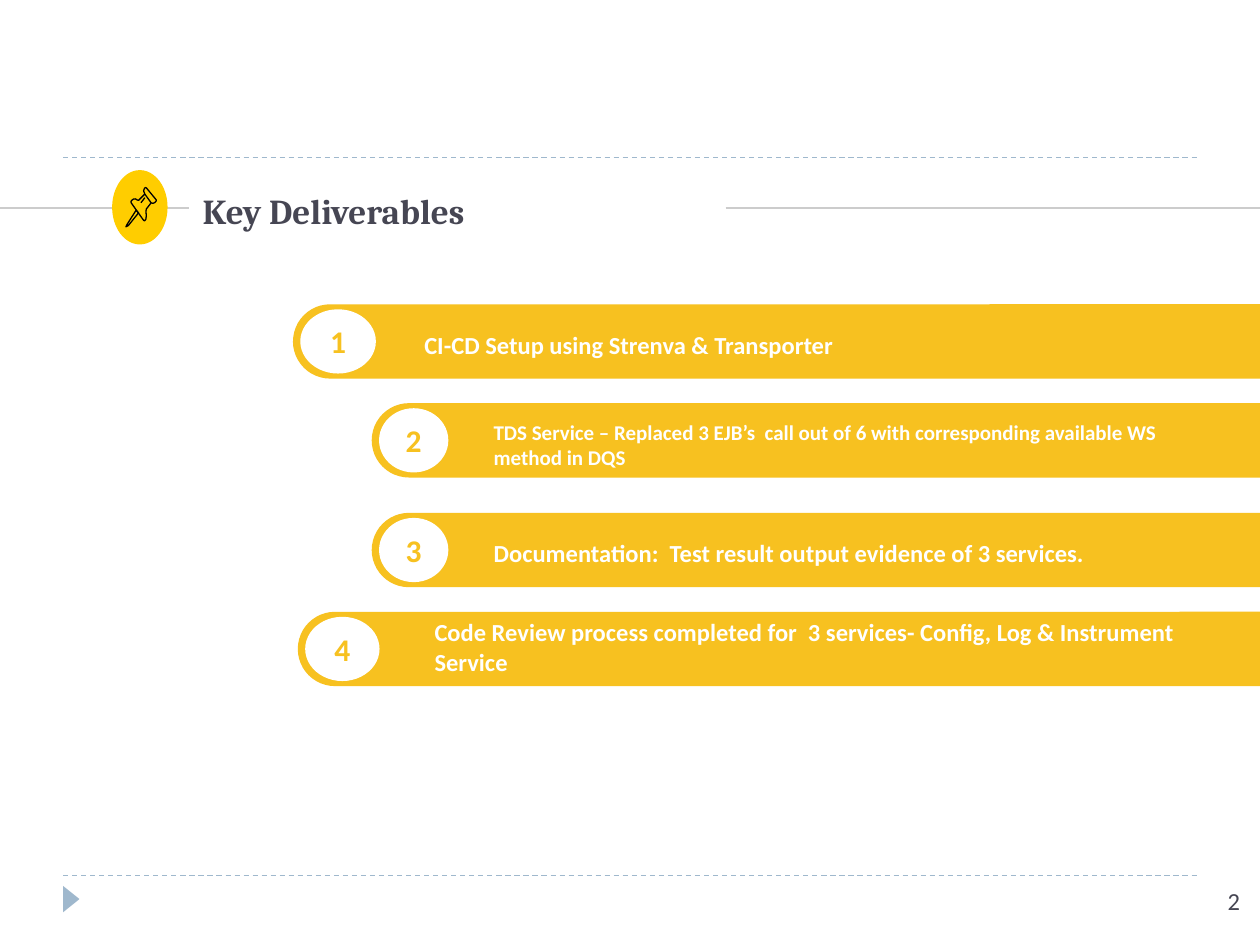
from lxml import etree
from pptx import Presentation
from pptx import util as u
from pptx.dml.color import RGBColor
from pptx.enum import dml, shapes, text
from pptx.oxml.ns import qn

Pt = u.Pt
SHAPE = shapes.MSO_SHAPE
GOLD, WHITE, SLATE, BLUE, GREY = "F7C120", "FFFFFF", "464653", "9FB8CD", "CCCCCC"
SLIDE_W, SLIDE_H = 720, 540

# Content: wording, size, bar left, bar middle, number width, text box (left, top, width, height)
DELIVERABLES = [
    ("CI-CD Setup using Strenva & Transporter", 14, 167.4, 195.1, 43.2,
     (235.4, 185, 470.9, 24.5)),
    ("TDS Service – Replaced 3 EJB’s  call out of 6 with corresponding available WS method in DQS",
     12, 212.4, 251.6, 39.6, (275, 236.2, 393.8, 36)),
    ("Documentation:  Test result output evidence of 3 services.", 14, 212.4, 314.3, 39.6,
     (275, 303.8, 430.6, 24.5)),
    ("Code Review process completed for  3 services- Config, Log & Instrument Service",
     14, 170.2, 370.8, 42.5, (241.2, 349.2, 459.4, 41)),
]
BAR_H, NUMBER_H, NUMBER_GAP = 42.5, 36.7, 4.2

# Rules: x from, x to, y, colour, dashed
RULES = [
    (36, 684, 500.4, BLUE, True),
    (36, 684, 90, BLUE, True),
    (0, 108, 118.8, GREY, False),
    (414.7, SLIDE_W, 118.8, GREY, False),
]

# Pushpin outlines: points, closed
PIN = [
    ([(77.8, 120.2), (72.7, 128.2), (72, 129.6), (73.4, 128.9), (79.2, 121.7)], True),
    ([(82.8, 110.9), (86.4, 115.9), (87.5, 116.2), (88.6, 115.7), (89.3, 114.8),
      (89.3, 114.2), (83.7, 107.4), (83.2, 107.2), (82.6, 107.6), (82.1, 109.1)], True),
    ([(82.8, 110.9), (79.2, 114.5), (78.4, 114.3), (77.4, 113.7), (76.3, 113.8),
      (75.2, 114.6), (74.8, 115.4), (75, 116), (82.1, 126), (82.7, 126.2),
      (83.4, 125.2), (83.6, 123.1), (83.4, 121), (83.6, 119.5), (86.4, 115.9)], False),
    ([(80.6, 115.9), (82.8, 113)], False),
]

prs = Presentation()
prs.slide_width, prs.slide_height = Pt(SLIDE_W), Pt(SLIDE_H)
slide = prs.slides.add_slide(prs.slide_layouts[6])


def rgb(value):
    return RGBColor.from_string(value)


def write(frame, words, size=14, color=WHITE, font="Calibri", bold=True,
          align=text.PP_ALIGN.LEFT, anchor=text.MSO_ANCHOR.TOP, inset=(7.2, 3.6)):
    frame.word_wrap = True
    frame.vertical_anchor = anchor
    frame.margin_left = frame.margin_right = Pt(inset[0])
    frame.margin_top = frame.margin_bottom = Pt(inset[1])
    paragraph = frame.paragraphs[0]
    paragraph.alignment = align
    run = paragraph.add_run()
    run.text = words
    run.font.size, run.font.name, run.font.bold = Pt(size), font, bold
    run.font.color.rgb = rgb(color)


def label(box, words, **style):
    write(slide.shapes.add_textbox(*map(Pt, box)).text_frame, words, **style)


def solid(kind, box, fill, rotation=0):
    part = slide.shapes.add_shape(kind, *map(Pt, box))
    part.shadow.inherit = False
    part.fill.solid()
    part.fill.fore_color.rgb = rgb(fill)
    part.line.fill.background()
    part.rotation = rotation
    return part


def turned(kind, box, fill, rotation):
    """Place a quarter-turned shape by the box it visibly covers."""
    left, top, width, height = box
    shift = (width - height) / 2
    return solid(kind, (left + shift, top - shift, height, width), fill, rotation)


# Rules across the page
for x1, x2, y, color, dashed in RULES:
    rule = slide.shapes.add_connector(shapes.MSO_CONNECTOR.STRAIGHT, Pt(x1), Pt(y), Pt(x2), Pt(y))
    rule.line.color.rgb = rgb(color)
    rule.line.width = Pt(0.75)
    if dashed:
        rule.line.dash_style = dml.MSO_LINE.DASH
    etree.SubElement(rule._element.spPr, qn("a:effectLst"))

# Heading with its pushpin badge
solid(SHAPE.OVAL, (64.1, 97.2, 31.7, 42.5), "FFCD00")
for points, closed in PIN:
    start, *rest = [(Pt(x), Pt(y)) for x, y in points]
    builder = slide.shapes.build_freeform(*start)
    builder.add_line_segments(rest, close=closed)
    outline = builder.convert_to_shape()
    outline.shadow.inherit = False
    outline.fill.background()
    outline.line.color.rgb = rgb("000000")
    outline.line.width = Pt(0.75)
label((108.7, 97.2, 305.3, 46.1), "Key Deliverables", size=20, color=SLATE, font="Cambria",
      anchor=text.MSO_ANCHOR.MIDDLE, inset=(7.2, 7.2))

# Numbered bars running off the right edge
for number, (words, size, left, middle, number_w, text_box) in enumerate(DELIVERABLES, 1):
    bar = turned(SHAPE.ROUND_2_SAME_RECTANGLE,
                 (left, middle - BAR_H / 2, SLIDE_W - left, BAR_H), GOLD, 270)
    bar.adjustments[0], bar.adjustments[1] = 0.5, 0
    badge = solid(SHAPE.OVAL, (left + NUMBER_GAP, middle - NUMBER_H / 2, number_w, NUMBER_H), WHITE)
    write(badge.text_frame, str(number), size=18, color=GOLD,
          align=text.PP_ALIGN.CENTER, anchor=text.MSO_ANCHOR.MIDDLE)
    label(text_box, words, size=size)

# Footer marker and page number
turned(SHAPE.ISOSCELES_TRIANGLE, (36, 506.2, 9.4, 15.1), BLUE, 90)
label((672.5, 499, 43.2, 41), "2", color=SLATE, bold=False,
      align=text.PP_ALIGN.RIGHT, inset=(7.2, 7.2))

prs.save("out.pptx")
